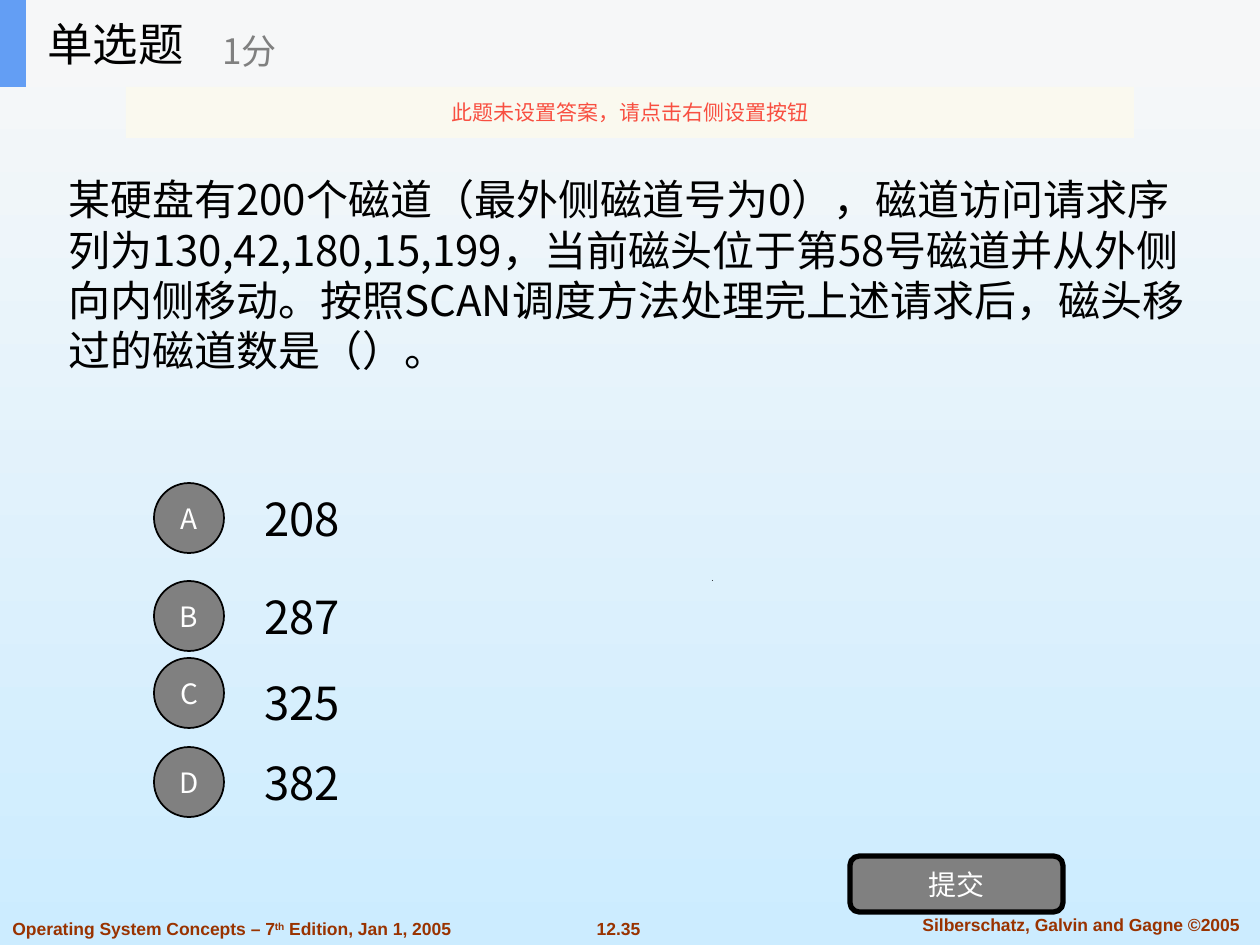
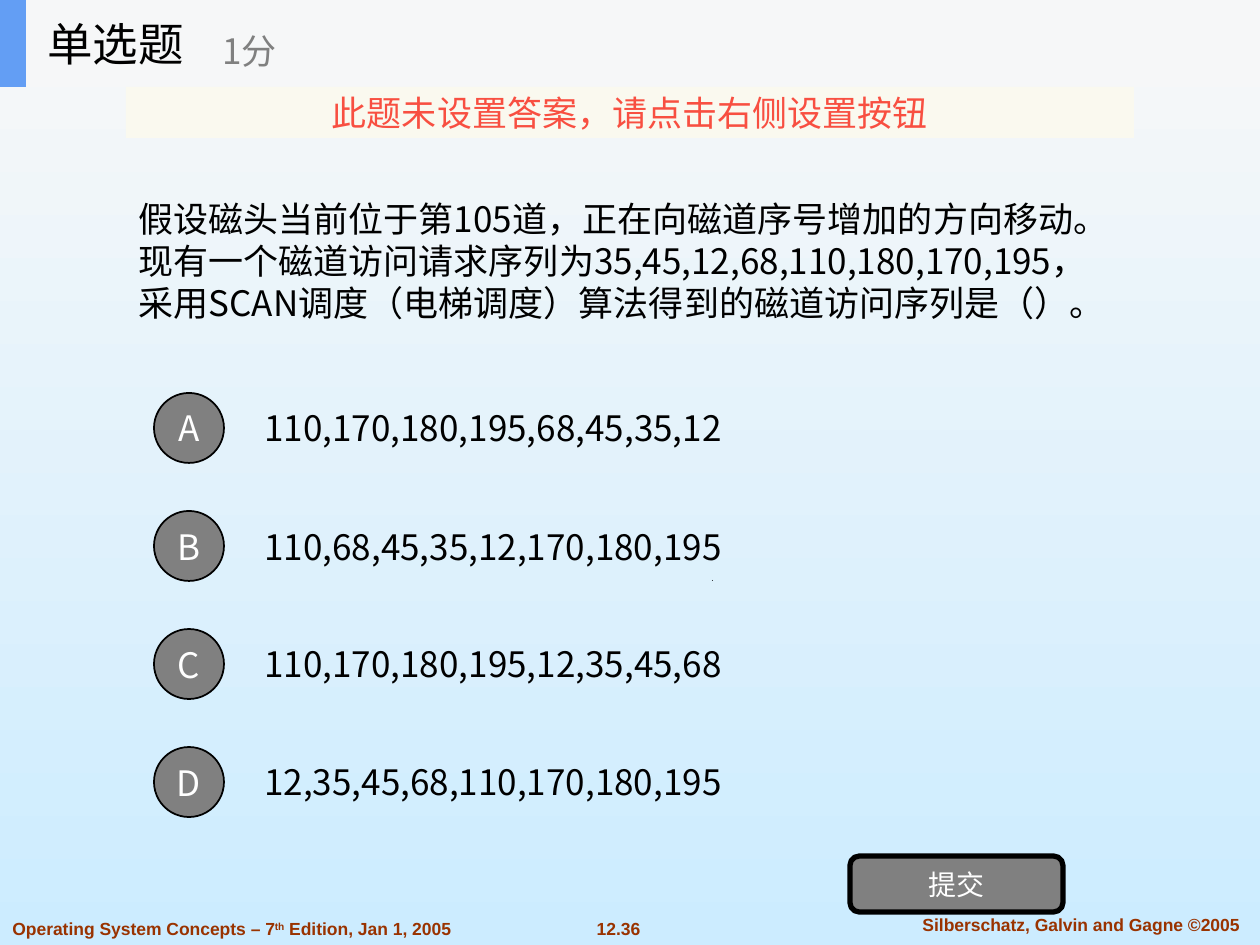
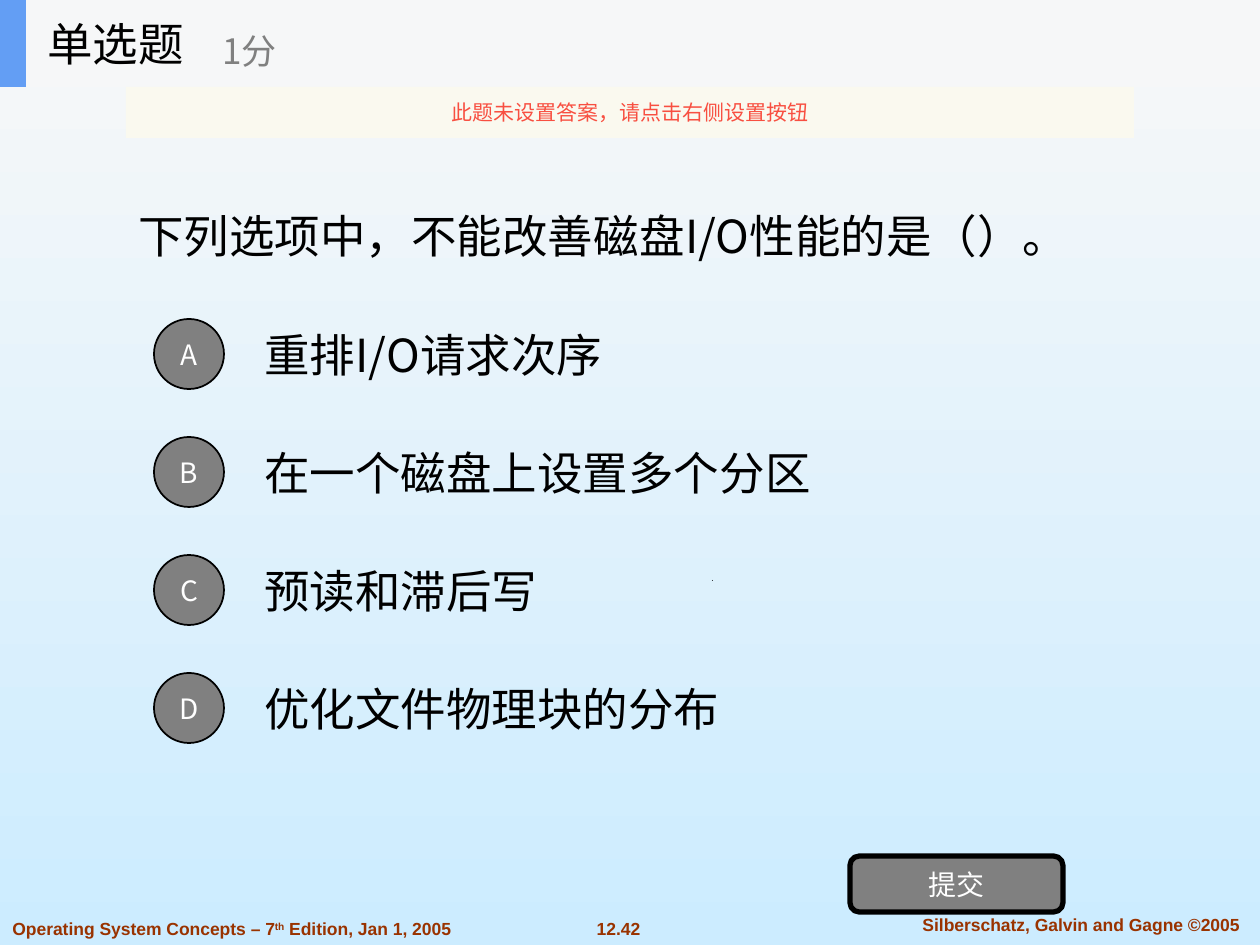
"""Build three single-choice quiz slides on disk scheduling."""
from dataclasses import dataclass

from lxml.etree import SubElement
from pptx import Presentation
from pptx.dml.color import RGBColor
from pptx.enum.shapes import MSO_SHAPE
from pptx.enum.text import MSO_ANCHOR, PP_ALIGN
from pptx.oxml.ns import qn
from pptx.util import Emu, Pt

EMU_PER_PX = 914400 / 126
BUBBLE_SIZE = 70
ANSWER_HEIGHT = 88
BUBBLE_INSET = 9
ANSWER_PITCH = 118


@dataclass(frozen=True)
class Theme:
    """Colours, fonts and type sizes of the deck."""
    cjk_font: str = "Noto Sans CJK SC"
    footer_font: str = "Arial"
    background_top: str = "F8F8F8"
    background_bottom: str = "CCECFF"
    header: str = "F6F7F8"
    accent: str = "639EF4"
    notice_fill: str = "FBFAEF"
    notice_text: str = "F84F41"
    gray: str = "808080"
    black: str = "000000"
    white: str = "FFFFFF"
    footer: str = "993300"
    title_size: int = 26
    score_size: int = 20
    button_size: int = 16
    footer_size: int = 10


@dataclass(frozen=True)
class Question:
    """Wording and layout of one quiz slide."""
    number: str
    prompt: str
    prompt_box: tuple
    prompt_size: int
    answers: tuple
    answer_tops: tuple
    answer_size: int
    bubble_tops: tuple
    bubble_size: int
    notice_size: int
    line_pitch: float = None


THEME = Theme()


def px(length):
    """Turn pixels into EMU."""
    return Emu(round(length * EMU_PER_PX))


def color(value):
    """Turn a hex string into a colour."""
    return RGBColor.from_string(value)


def even_tops(first):
    """Return the tops of four equally spaced answers."""
    return tuple(first + ANSWER_PITCH * row for row in range(4))


def bubbles_beside(answer_tops):
    """Return the bubble tops centred on the answers."""
    return tuple(top + BUBBLE_INSET for top in answer_tops)


def write(shape, text, size, text_color, font=THEME.cjk_font, bold=False,
          align=PP_ALIGN.LEFT, wrap=True, anchor=MSO_ANCHOR.MIDDLE):
    """Put one styled paragraph into a shape and return it."""
    frame = shape.text_frame
    frame.word_wrap = wrap
    frame.vertical_anchor = anchor
    paragraph = frame.paragraphs[0]
    paragraph.text = text
    paragraph.alignment = align
    paragraph.font.size = Pt(size)
    paragraph.font.bold = bold
    paragraph.font.color.rgb = color(text_color)
    paragraph.font.name = font
    for properties in shape.element.iter(qn("a:defRPr")):
        SubElement(properties, qn("a:ea")).set("typeface", font)
    for properties in shape.element.iter(qn("a:pPr")):
        properties.set("hangingPunct", "0")
    return paragraph


def add_text(shapes, box, text, size, text_color, **style):
    """Add a text box and return its paragraph."""
    shape = shapes.add_textbox(*map(px, box))
    return write(shape, text, size, text_color, **style)


def add_panel(shapes, kind, box, fill, line_width=0):
    """Add a filled preset shape with an optional black outline."""
    shape = shapes.add_shape(kind, *map(px, box))
    shape.shadow.inherit = False
    shape.fill.solid()
    shape.fill.fore_color.rgb = color(fill)
    if line_width:
        shape.line.color.rgb = color(THEME.black)
        shape.line.width = Pt(line_width)
    else:
        shape.line.fill.background()
    return shape


def add_label(shape, text, size, text_color):
    """Centre a one-line label in a shape."""
    write(shape, text, size, text_color, align=PP_ALIGN.CENTER, wrap=False)


def add_speck(shapes, left, top):
    """Add a one-pixel black mark."""
    builder = shapes.build_freeform(left, top + 1, scale=EMU_PER_PX)
    builder.add_line_segments([(left + 1, top), (left + 1, top + 1)])
    speck = builder.convert_to_shape()
    speck.shadow.inherit = False
    speck.fill.solid()
    speck.fill.fore_color.rgb = color(THEME.black)
    speck.line.fill.background()


def add_footer(shapes, number):
    """Add the book title, page number and authors."""
    style = dict(size=THEME.footer_size, text_color=THEME.footer,
                 font=THEME.footer_font, bold=True, anchor=MSO_ANCHOR.TOP)
    add_text(shapes, (583, 912, 71, 34), number, wrap=False,
             align=PP_ALIGN.CENTER, **style)
    add_text(shapes, (894, 908, 374, 34), "Silberschatz, Galvin and Gagne ©2005",
             align=PP_ALIGN.CENTER, **style)
    paragraph = add_text(shapes, (0, 912, 465, 34),
                         "Operating System Concepts – 7", **style)
    ordinal = paragraph.add_run()
    ordinal.text = "th"
    ordinal._r.get_or_add_rPr().set("baseline", "30000")
    paragraph.add_run().text = " Edition, Jan 1, 2005"


def add_header(shapes):
    """Add the grouped title band."""
    group = shapes.add_group_shape().shapes
    add_panel(group, MSO_SHAPE.RECTANGLE, (0, 0, 1260, 87), THEME.header)
    add_panel(group, MSO_SHAPE.RECTANGLE, (0, 0, 26, 87), THEME.accent)
    add_text(group, (35, 0, 262, 87), "单选题", THEME.title_size, THEME.black)
    add_text(group, (210, 15, 315, 71), "1分", THEME.score_size, THEME.gray)


def add_notice(shapes, size):
    """Add the translucent notice strip."""
    strip = add_panel(shapes, MSO_SHAPE.RECTANGLE, (126, 87, 1008, 51),
                      THEME.notice_fill)
    fill_color = strip.element.spPr.find(qn("a:solidFill"))[0]
    SubElement(fill_color, qn("a:alpha")).set("val", "90000")
    add_label(strip, "此题未设置答案，请点击右侧设置按钮", size, THEME.notice_text)


def add_answers(shapes, question):
    """Add the four answers and their lettered bubbles."""
    for text, top in zip(question.answers, question.answer_tops):
        add_text(shapes, (252, top, 882, ANSWER_HEIGHT), text,
                 question.answer_size, THEME.black)
    for letter, top in zip("ABCD", question.bubble_tops):
        bubble = add_panel(shapes, MSO_SHAPE.OVAL,
                           (154, top, BUBBLE_SIZE, BUBBLE_SIZE), THEME.gray, 1)
        add_label(bubble, letter, question.bubble_size, THEME.white)


def add_question(presentation, question):
    """Add one complete quiz slide."""
    shapes = presentation.slides.add_slide(presentation.slide_layouts[6]).shapes
    add_speck(shapes, 712, 580)
    add_footer(shapes, question.number)
    prompt = add_text(shapes, question.prompt_box, question.prompt,
                      question.prompt_size, THEME.black)
    if question.line_pitch:
        prompt.line_spacing = Pt(question.line_pitch)
    add_answers(shapes, question)
    button = add_panel(shapes, MSO_SHAPE.ROUNDED_RECTANGLE,
                       (850, 856, 213, 56), THEME.gray, 3)
    add_label(button, "提交", THEME.button_size, THEME.white)
    add_header(shapes)
    add_notice(shapes, question.notice_size)


def set_background(master):
    """Give every slide the vertical gradient."""
    fill = master.background.fill
    fill.gradient()
    fill.gradient_angle = 270
    ends = (THEME.background_top, THEME.background_bottom)
    for stop, value in zip(fill.gradient_stops, ends):
        stop.color.rgb = color(value)


QUESTIONS = (
    Question(
        number="12.35",
        prompt="某硬盘有200个磁道（最外侧磁道号为0），磁道访问请求序列为"
               "130,42,180,15,199，当前磁头位于第58号磁道并从外侧向内侧移动。"
               "按照SCAN调度方法处理完上述请求后，磁头移过的磁道数是（）。",
        prompt_box=(56, 127, 1148, 295), prompt_size=24, line_pitch=28.8,
        answers=("208", "287", "325", "382"),
        answer_tops=(474, 572, 658, 738), answer_size=26,
        bubble_tops=(483, 581, 658, 747), bubble_size=16, notice_size=12),
    Question(
        number="12.36",
        prompt="假设磁头当前位于第105道，正在向磁道序号增加的方向移动。"
               "现有一个磁道访问请求序列为35,45,12,68,110,180,170,195，"
               "采用SCAN调度（电梯调度）算法得到的磁道访问序列是（）。",
        prompt_box=(126, 151, 1008, 219), prompt_size=20, line_pitch=24,
        answers=("110,170,180,195,68,45,35,12", "110,68,45,35,12,170,180,195",
                 "110,170,180,195,12,35,45,68", "12,35,45,68,110,170,180,195"),
        answer_tops=even_tops(384), answer_size=20,
        bubble_tops=bubbles_beside(even_tops(384)), bubble_size=20,
        notice_size=20),
    Question(
        number="12.42",
        prompt="下列选项中，不能改善磁盘I/O性能的是（）。",
        prompt_box=(126, 88, 1008, 295), prompt_size=26,
        answers=("重排I/O请求次序", "在一个磁盘上设置多个分区",
                 "预读和滞后写", "优化文件物理块的分布"),
        answer_tops=even_tops(310), answer_size=26,
        bubble_tops=bubbles_beside(even_tops(310)), bubble_size=16,
        notice_size=12),
)


def main():
    """Build and save the deck."""
    presentation = Presentation()
    presentation.slide_width = px(1260)
    presentation.slide_height = px(945)
    set_background(presentation.slide_master)
    for question in QUESTIONS:
        add_question(presentation, question)
    presentation.save("out.pptx")


if __name__ == "__main__":
    main()
